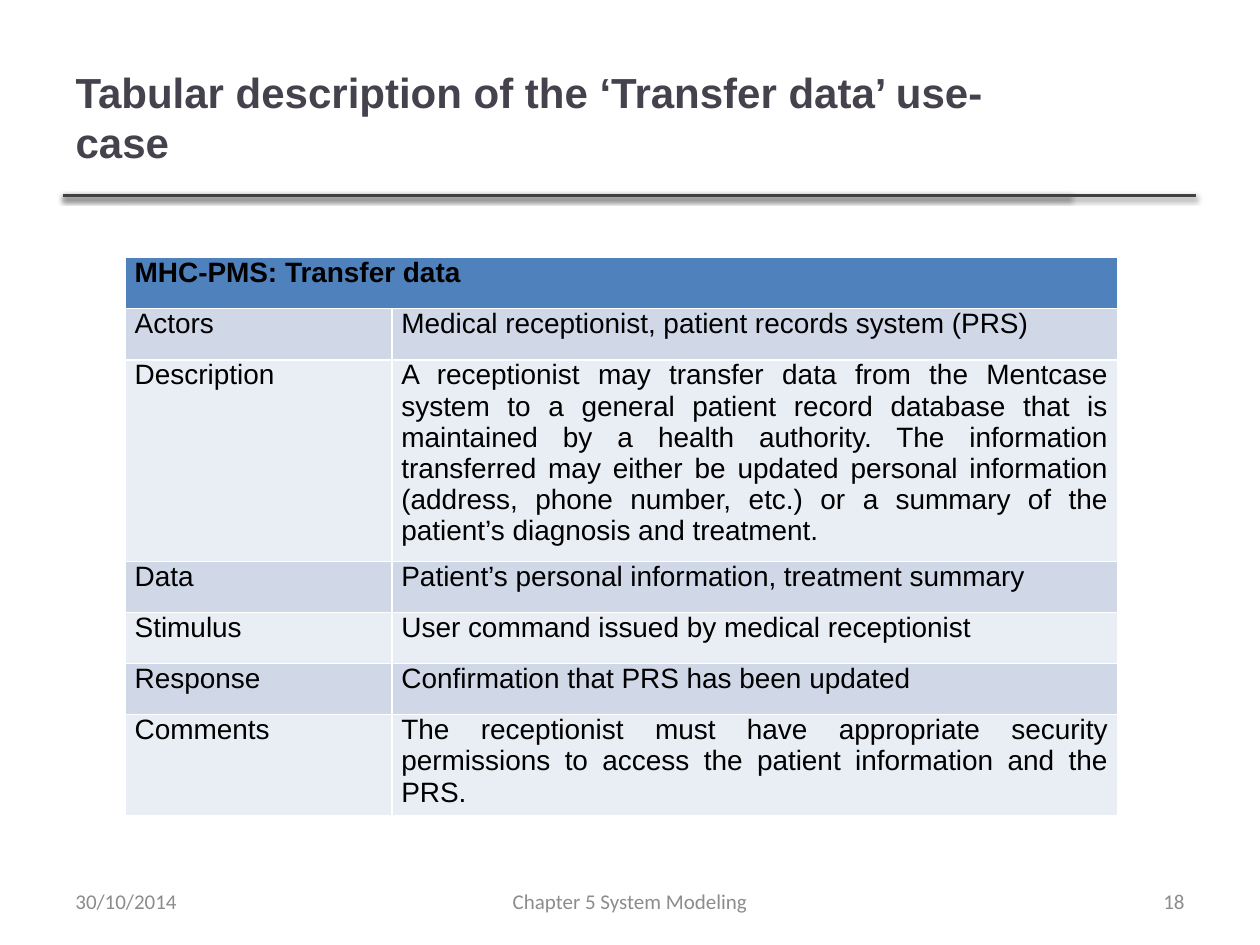
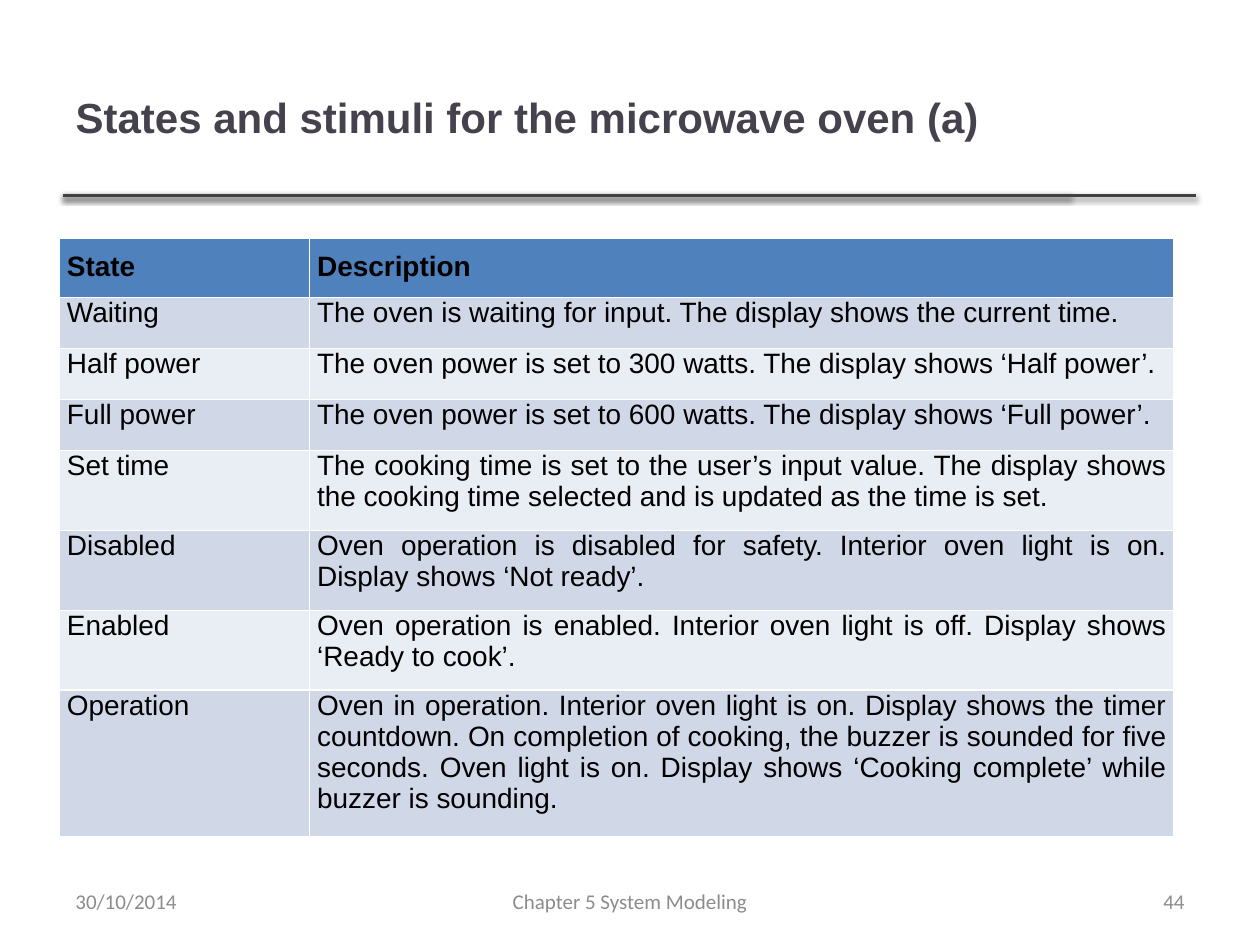
from lxml import etree
from pptx import Presentation
from pptx.dml.color import RGBColor
from pptx.enum import shapes, text
from pptx.oxml.ns import qn
from pptx.util import Pt

COLOR = {
    "title": "46424D",
    "rule": "404040",
    "foot": "8C8C8C",
    "ink": "000000",
    "head": "4F81BD",
    "odd": "D0D8E8",
    "even": "E9EDF4",
}
ALIGN = text.PP_ALIGN
ANCHOR = text.MSO_ANCHOR
LEFT, RIGHT = 36, 683.5
ROW = 29.2

TRANSFER = [
    ("MHC-PMS: Transfer data",),
    ("Actors", "Medical receptionist, patient records system (PRS)"),
    ("Description",
     "A receptionist may transfer data from the Mentcase system to a general "
     "patient record database that is maintained by a health authority. The "
     "information transferred may either be updated personal information "
     "(address, phone number, etc.) or a summary of the patient’s diagnosis "
     "and treatment."),
    ("Data", "Patient’s personal information, treatment summary"),
    ("Stimulus", "User command issued by medical receptionist"),
    ("Response", "Confirmation that PRS has been updated"),
    ("Comments",
     "The receptionist must have appropriate security permissions to access "
     "the patient information and the PRS."),
]

STATES = [
    ("State", "Description"),
    ("Waiting",
     "The oven is waiting for input. The display shows the current time."),
    ("Half power",
     "The oven power is set to 300 watts. The display shows ‘Half power’."),
    ("Full power",
     "The oven power is set to 600 watts. The display shows ‘Full power’."),
    ("Set time",
     "The cooking time is set to the user’s input value. The display shows "
     "the cooking time selected and is updated as the time is set."),
    ("Disabled",
     "Oven operation is disabled for safety. Interior oven light is on. "
     "Display shows ‘Not ready’."),
    ("Enabled",
     "Oven operation is enabled. Interior oven light is off. Display shows "
     "‘Ready to cook’."),
    ("Operation",
     "Oven in operation. Interior oven light is on. Display shows the timer "
     "countdown. On completion of cooking, the buzzer is sounded for five "
     "seconds. Oven light is on. Display shows ‘Cooking complete’ while "
     "buzzer is sounding."),
]


def rgb(name):
    return RGBColor.from_string(COLOR[name])


def write(frame, words, size=16, font="Arial", color="ink", bold=False,
          align=ALIGN.LEFT):
    frame.word_wrap = True
    para = frame.paragraphs[0]
    para.alignment = align
    run = para.add_run()
    run.text = words
    run.font.size = Pt(size)
    run.font.name = font
    run.font.bold = bold
    run.font.color.rgb = rgb(color)


def add_title(slide, words):
    title = slide.shapes.title
    title.left, title.top = Pt(LEFT), Pt(21.6)
    title.width, title.height = Pt(574.6), Pt(90)
    title.text_frame.vertical_anchor = ANCHOR.MIDDLE
    write(title.text_frame, words, size=24, color="title", bold=True)


def add_rule(slide, end):
    y = Pt(111.6)
    rule = slide.shapes.add_connector(
        shapes.MSO_CONNECTOR.STRAIGHT, Pt(LEFT), y, Pt(end), y)
    rule.line.width = Pt(2)
    rule.line.color.rgb = rgb("rule")
    props = rule._element.spPr
    effects = etree.SubElement(props, qn("a:effectLst"))
    shadow = etree.SubElement(
        effects, qn("a:outerShdw"), blurRad=str(Pt(3.1)), dist=str(Pt(1.6)),
        dir="5400000", rotWithShape="0")
    shade = etree.SubElement(shadow, qn("a:srgbClr"), val=COLOR["ink"])
    etree.SubElement(shade, qn("a:alpha"), val="38000")


def add_foot(slide, words, left, width, align):
    box = slide.shapes.add_textbox(Pt(left), Pt(500.5), Pt(width), Pt(28.8))
    box.text_frame.vertical_anchor = ANCHOR.MIDDLE
    write(box.text_frame, words, size=12, font="Calibri", color="foot",
          align=align)


def add_frame(slide, title, number):
    for end in (611.5, RIGHT):
        add_rule(slide, end)
    add_title(slide, title)
    add_foot(slide, "30/10/2014", LEFT, 168, ALIGN.LEFT)
    add_foot(slide, "Chapter 5 System Modeling", 246, 228, ALIGN.CENTER)
    add_foot(slide, str(number), 516, 168, ALIGN.RIGHT)


def add_grid(slide, rows, left, top, widths, side, head_pad=0, foot_pad=0):
    grid = slide.shapes.add_table(
        len(rows), len(widths), Pt(left), Pt(top), Pt(sum(widths)),
        Pt(ROW * len(rows))).table
    for column, width in zip(grid.columns, widths):
        column.width = Pt(width)
    for i, row in enumerate(rows):
        grid.rows[i].height = Pt(ROW)
        fill = "head" if i == 0 else "odd" if i % 2 else "even"
        for j in range(len(widths)):
            cell = grid.cell(i, j)
            cell.margin_left = cell.margin_right = Pt(side)
            cell.margin_top = Pt(0 if i else head_pad)
            cell.margin_bottom = Pt(foot_pad)
            cell.fill.solid()
            cell.fill.fore_color.rgb = rgb(fill)
            if j < len(row):
                write(cell.text_frame, row[j], bold=i == 0,
                      align=ALIGN.JUSTIFY)
        if len(row) < len(widths):
            grid.cell(i, len(row) - 1).merge(grid.cell(i, len(widths) - 1))


def main():
    deck = Presentation()
    deck.slide_width, deck.slide_height = Pt(720), Pt(540)
    layout = deck.slide_layouts.get_by_name("Title Only")

    slide = deck.slides.add_slide(layout)
    add_frame(slide, "Tabular description of the ‘Transfer data’ use-case", 18)
    add_grid(slide, TRANSFER, 71.6, 147.2, (152.4, 414.6), side=5.4)

    slide = deck.slides.add_slide(layout)
    add_frame(slide, "States and stimuli for the microwave oven (a)", 44)
    add_grid(slide, STATES, 34, 136.3, (143, 494), side=4.3,
             head_pad=7.2, foot_pad=7.2)

    deck.save("out.pptx")


if __name__ == "__main__":
    main()
